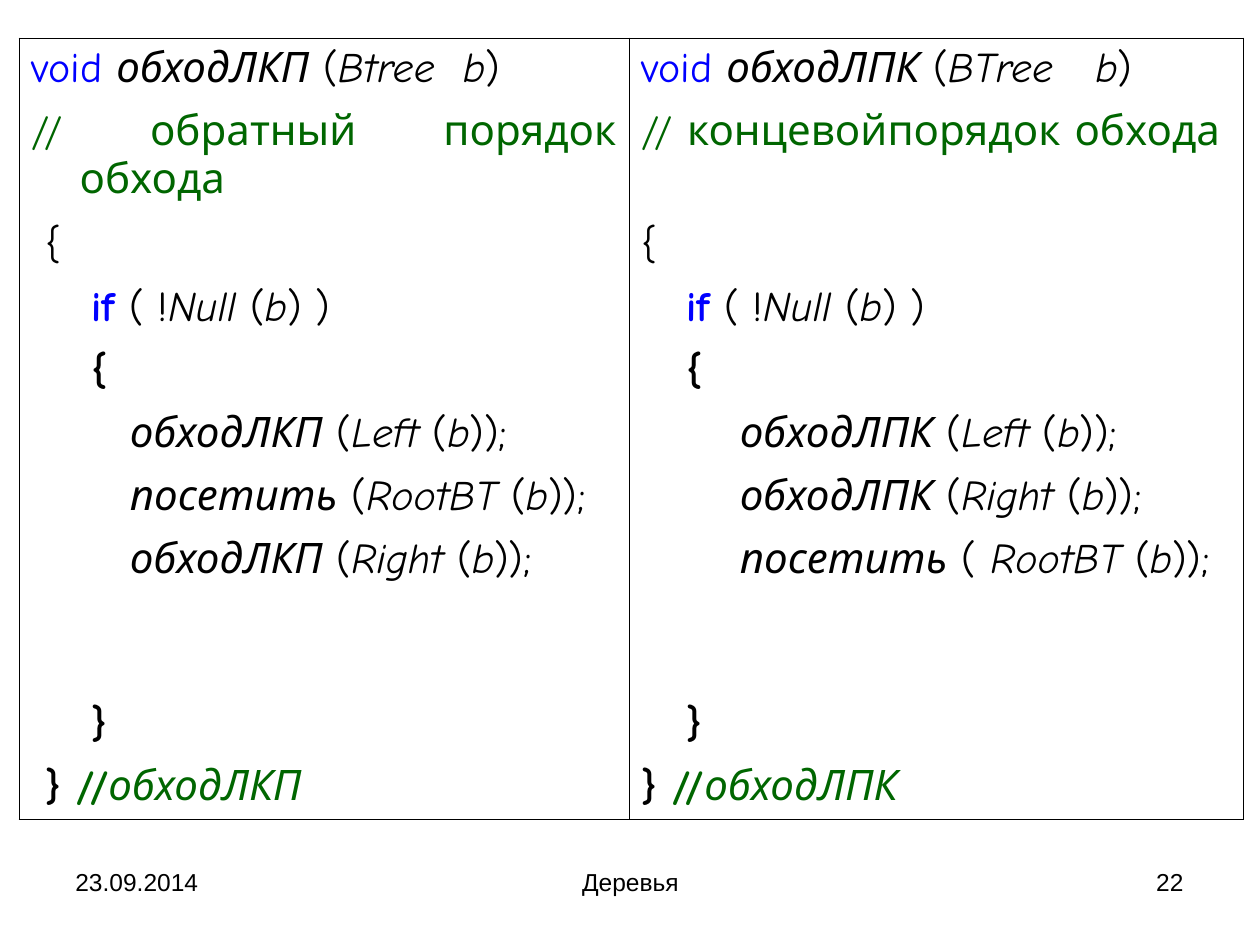
import lxml.etree
import pptx
import pptx.dml.color
import pptx.enum.text
import pptx.oxml.ns
import pptx.util

EMU_PER_PX = 914400 // 126
ALIGN = pptx.enum.text.PP_ALIGN
BLACK, BLUE, GREEN, WHITE = "000000", "0000FF", "006600", "FFFFFF"
BORDER_WIDTH = 5715

PLAIN = dict(name="Comic Neue", size=pptx.util.Pt(24), bold=False, italic=False, color=BLACK)
ITALIC = PLAIN | dict(italic=True)
BOLD = PLAIN | dict(bold=True)
TYPE = PLAIN | dict(color=BLUE)
KEYWORD = BOLD | dict(color=BLUE)
COMMENT = PLAIN | dict(color=GREEN)
END_MARK = BOLD | dict(color=GREEN)
END_NAME = ITALIC | dict(color=GREEN)
FOOTER = dict(name="Arial", size=pptx.util.Pt(14), color=BLACK)

ROW_HEIGHTS = [63] * 7 + [164] + [63] * 2
CALL_INDENT = " " * 7


def px(length):
    return pptx.util.Emu(length * EMU_PER_PX)


def rgb(color):
    return pptx.dml.color.RGBColor.from_string(color)


def add_run(paragraph, text, style):
    run = paragraph.add_run()
    run.text = text
    for key, value in style.items():
        if key == "color":
            run.font.color.rgb = rgb(value)
        else:
            setattr(run.font, key, value)


def call(name, argument, opening=" ("):
    return [(CALL_INDENT, PLAIN), (name, ITALIC), (opening, PLAIN), (argument, ITALIC),
            (" (", PLAIN), ("b", ITALIC), ("));", PLAIN)]


def traversal(name, parameter, comment, calls, margin):
    """Return the code lines of one traversal, each a list of (text, style)."""
    block = margin + "   "
    return [
        [("void ", TYPE), (name, ITALIC), (" (", PLAIN), (parameter, ITALIC), (")", PLAIN)],
        [("// " + comment, COMMENT)],
        [(margin + "{", PLAIN)],
        [(block, BOLD), ("if", KEYWORD), (" ( !", PLAIN), ("Null", ITALIC),
         (" (", PLAIN), ("b", ITALIC), (") )", PLAIN)],
        [(block + "{", BOLD)],
        *calls,
        [(block + "}", BOLD)],
        [(margin, PLAIN), ("} ", BOLD), ("//", END_MARK), (name, END_NAME)],
    ]


def set_borders(cell, visible):
    """Draw the sides named in visible and hide the others."""
    properties = cell._tc.get_or_add_tcPr()
    for index, side in enumerate("LRTB"):
        line = lxml.etree.Element(pptx.oxml.ns.qn("a:ln" + side), w=str(BORDER_WIDTH))
        if side in visible:
            fill = lxml.etree.SubElement(line, pptx.oxml.ns.qn("a:solidFill"))
            lxml.etree.SubElement(fill, pptx.oxml.ns.qn("a:srgbClr"), val=BLACK)
        else:
            lxml.etree.SubElement(line, pptx.oxml.ns.qn("a:noFill"))
        properties.insert(index, line)


def fill_cell(cell, runs, borders):
    cell.fill.solid()
    cell.fill.fore_color.rgb = rgb(WHITE)
    set_borders(cell, borders)
    paragraph = cell.text_frame.paragraphs[0]
    paragraph.alignment = ALIGN.JUSTIFY
    indent = px(48)
    paragraph_properties = paragraph._p.get_or_add_pPr()
    paragraph_properties.set("marL", str(indent))
    paragraph_properties.set("indent", str(-indent))
    for text, style in runs:
        if text:
            add_run(paragraph, text, style)


def add_code_table(slide, left, top, column_widths, columns):
    table = slide.shapes.add_table(
        len(ROW_HEIGHTS), len(columns), px(left), px(top),
        px(sum(column_widths)), px(sum(ROW_HEIGHTS))).table
    table.first_row = table.horz_banding = False
    for row, height in zip(table.rows, ROW_HEIGHTS):
        row.height = px(height)
    last = len(ROW_HEIGHTS) - 1
    for column_index, (width, lines) in enumerate(zip(column_widths, columns)):
        table.columns[column_index].width = px(width)
        for row_index, runs in enumerate(lines):
            borders = "LR" + "T" * (row_index == 0) + "B" * (row_index == last)
            fill_cell(table.cell(row_index, column_index), runs, borders)


def add_footer(slide, top, height):
    for left, width, text, alignment in [
            (63, 293, "23.09.2014", ALIGN.LEFT),
            (431, 399, "Деревья", ALIGN.CENTER),
            (903, 293, "22", ALIGN.RIGHT)]:
        box = slide.shapes.add_textbox(px(left), px(top), px(width), px(height))
        box.text_frame.word_wrap = True
        paragraph = box.text_frame.paragraphs[0]
        paragraph.alignment = alignment
        add_run(paragraph, text, FOOTER)


def main():
    presentation = pptx.Presentation()
    presentation.slide_width, presentation.slide_height = px(1260), px(945)
    slide = presentation.slides.add_slide(presentation.slide_layouts[6])
    add_footer(slide, 861, 66)
    reverse = traversal(
        "обходЛКП", "Btree  b", "обратный порядок обхода",
        [call("обходЛКП", "Left"), call("посетить", "RootBT"), call("обходЛКП", "Right")],
        margin=" ")
    postorder = traversal(
        "обходЛПК", "BTree   b", "концевойпорядок обхода",
        [call("обходЛПК", "Left"), call("обходЛПК", "Right"),
         call("посетить", "RootBT", opening=" ( ")],
        margin="")
    add_code_table(slide, 19, 38, [610, 614], [reverse, postorder])
    presentation.save("out.pptx")


if __name__ == "__main__":
    main()
